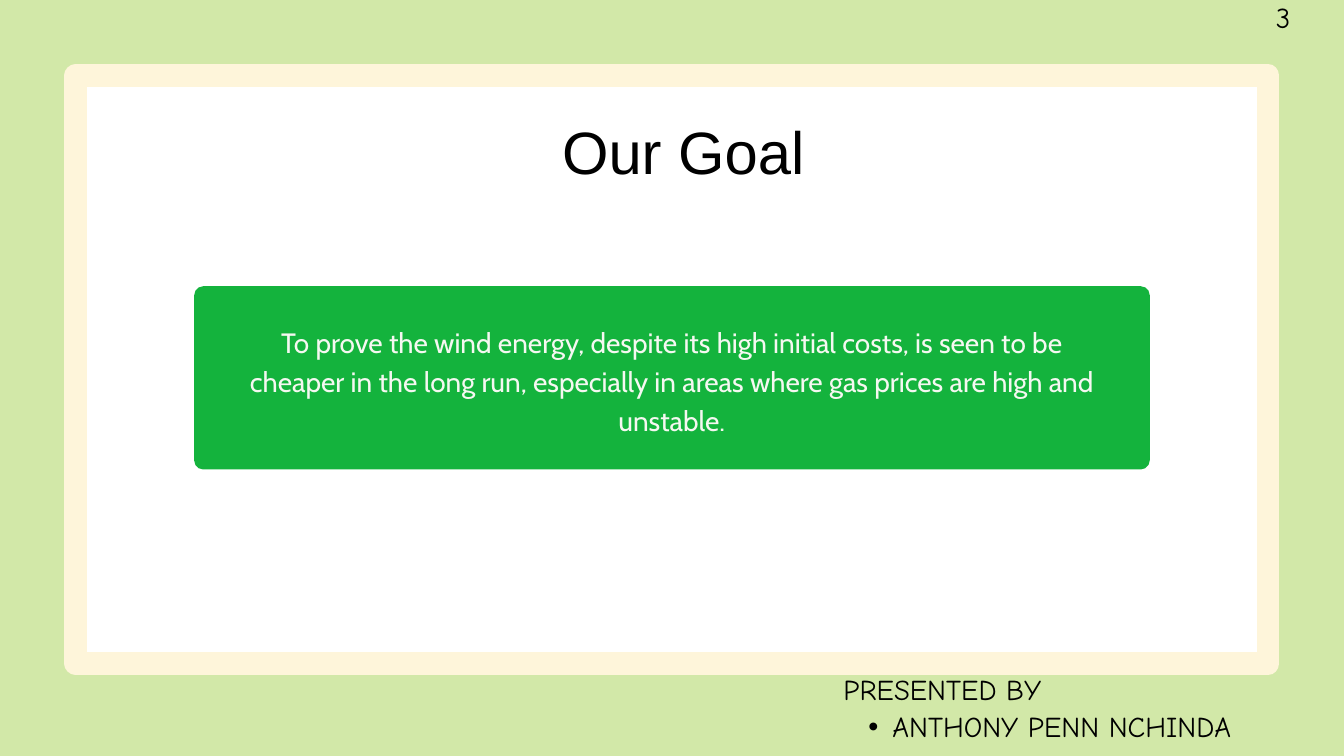
import pptx
import pptx.dml.color
import pptx.enum.shapes
import pptx.enum.text
import pptx.oxml
import pptx.oxml.ns
import pptx.util
from pptx.util import Cm

COLOURS = {
    "background": "D2E8A8",
    "panel": "FFFFFF",
    "border": "FEF5DA",
    "box": "14B33D",
    "box_text": "F5F8F1",
    "ink": "000000",
}
ALIGN = pptx.enum.text.PP_ALIGN
SHAPES = pptx.enum.shapes.MSO_SHAPE

STYLES = {
    "title": {"font": "Arial", "size": 64, "colour": "ink", "align": ALIGN.CENTER, "spacing": 89.6},
    "goal": {"font": "Cabin", "size": 30, "colour": "box_text", "align": ALIGN.CENTER, "spacing": 42},
    "note": {"font": "Comic Neue", "size": 30.8, "colour": "ink", "align": ALIGN.JUSTIFY, "spacing": 39.4},
}
FRAME_FORMAT = {
    "margin_left": 0,
    "margin_top": 0,
    "margin_right": 0,
    "margin_bottom": 0,
    "word_wrap": True,
    "auto_size": pptx.enum.text.MSO_AUTO_SIZE.NONE,
    "vertical_anchor": pptx.enum.text.MSO_ANCHOR.TOP,
}


def apply_format(target, values):
    for name, value in values.items():
        setattr(target, name, value)


def rgb(name):
    return pptx.dml.color.RGBColor.from_string(COLOURS[name])


class GoalSlide:
    def __init__(self, presentation):
        self.slide = presentation.slides.add_slide(presentation.slide_layouts[1])
        fill = self.slide.background.fill
        fill.solid()
        fill.fore_color.rgb = rgb("background")

    def panel(self, kind, bounds, fill, border=None, width=0):
        panel = self.slide.shapes.add_shape(kind, *map(Cm, bounds))
        panel.shadow.inherit = False
        panel.fill.solid()
        panel.fill.fore_color.rgb = rgb(fill)
        if border:
            panel.line.color.rgb = rgb(border)
            panel.line.width = pptx.util.Pt(width)
        else:
            panel.line.fill.background()
        return panel

    def bullet(self, paragraph, char=None, margin=0, indent=0):
        properties = paragraph._p.get_or_add_pPr()
        properties.set("marL", str(Cm(margin)))
        properties.set("indent", str(Cm(indent)))
        namespace = pptx.oxml.ns.nsdecls("a")
        tag = f'<a:buChar {namespace} char="{char}"/>' if char else f"<a:buNone {namespace}/>"
        properties.append(pptx.oxml.parse_xml(tag))

    def fill_paragraph(self, paragraph, text, style):
        paragraph.text = text
        apply_format(paragraph, {
            "alignment": style["align"],
            "line_spacing": pptx.util.Pt(style["spacing"]),
            "space_before": pptx.util.Pt(0),
        })
        font = paragraph.runs[0].font
        apply_format(font, {"name": style["font"], "size": pptx.util.Pt(style["size"])})
        font.color.rgb = rgb(style["colour"])

    def place(self, holder, bounds):
        apply_format(holder, dict(zip(("left", "top", "width", "height"), map(Cm, bounds))))
        apply_format(holder.text_frame, FRAME_FORMAT)
        return holder.text_frame

    def title(self, text, bounds):
        frame = self.place(self.slide.shapes.title, bounds)
        self.fill_paragraph(frame.paragraphs[0], text, STYLES["title"])

    def presenters(self, heading, names, bounds):
        frame = self.place(self.slide.placeholders[1], bounds)
        self.bullet(frame.paragraphs[0])
        self.fill_paragraph(frame.paragraphs[0], heading, STYLES["note"])
        for name in names:
            paragraph = frame.add_paragraph()
            paragraph.level = 1
            self.bullet(paragraph, "•", 1.85, -0.91)
            self.fill_paragraph(paragraph, name, STYLES["note"])

    def text(self, text, bounds, style):
        box = self.slide.shapes.add_textbox(*map(Cm, bounds))
        frame = self.place(box, bounds)
        self.fill_paragraph(frame.paragraphs[0], text, STYLES[style])


def main():
    presentation = pptx.Presentation()
    presentation.slide_width = Cm(50.8)
    presentation.slide_height = Cm(28.58)

    goal = GoalSlide(presentation)
    page = goal.panel(SHAPES.RECTANGLE, (2.86, 2.86, 45.08, 22.22), "panel", "border", 24)
    goal.slide.shapes.title.element.addprevious(page.element)

    goal.title("Our Goal", (5.2, 3.89, 41.25, 3.07))
    goal.presenters("PRESENTED BY", ["ANTHONY PENN NCHINDA"], (31.88, 25.32, 18.92, 2.74))

    goal_box = goal.panel(SHAPES.ROUNDED_RECTANGLE, (7.34, 10.82, 36.12, 6.93), "box")
    goal_box.adjustments[0] = 0.05
    goal.text(
        "To prove the wind energy, despite its high initial costs, is seen to be cheaper "
        "in the long run, especially in areas where gas prices are high and unstable.",
        (8.82, 12.09, 33.15, 4.29), "goal",
    )
    goal.text("3", (48.23, -0.08, 2.57, 1.37), "note")

    presentation.save("out.pptx")


if __name__ == "__main__":
    main()
